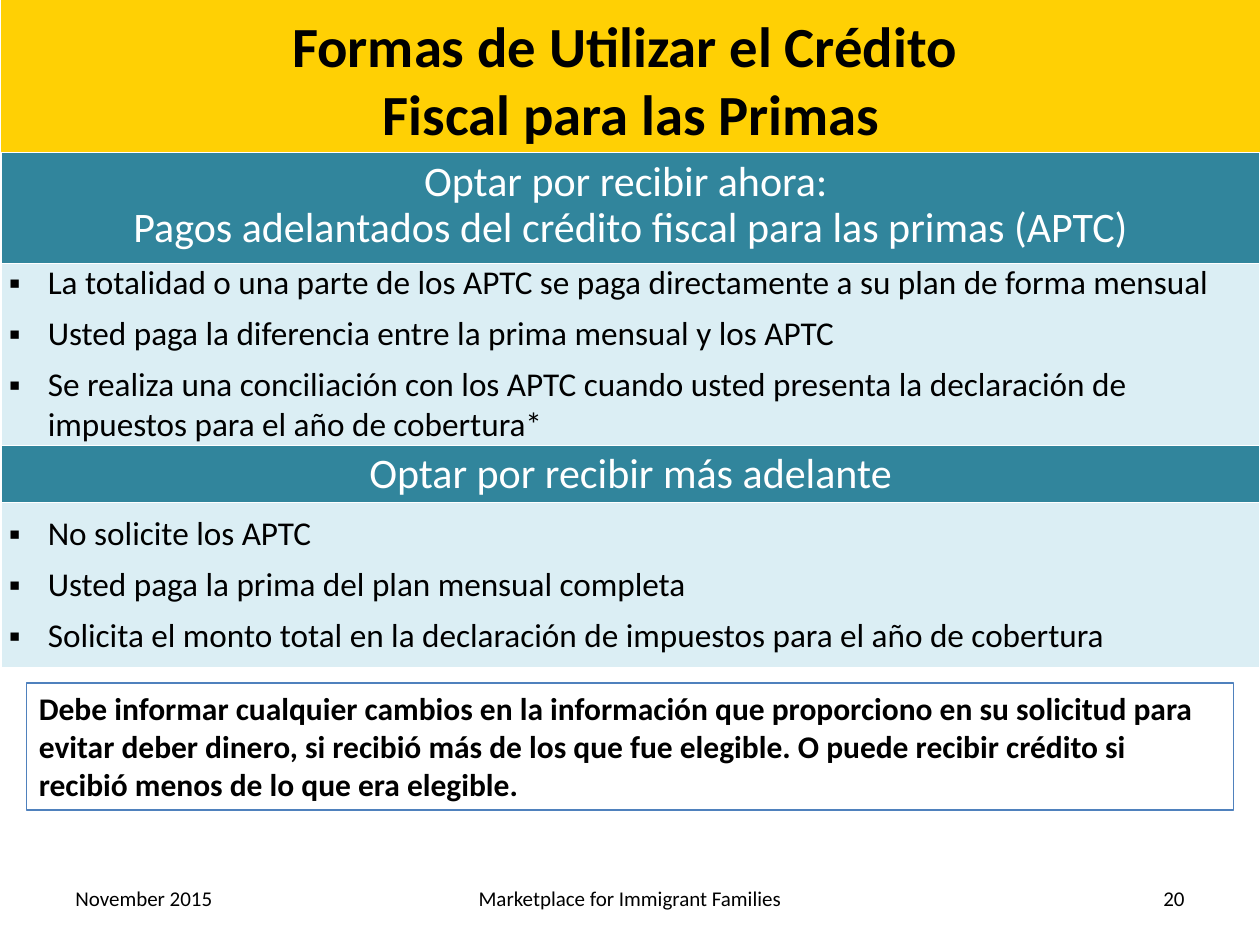
"""Build the slide on the ways to use the premium tax credit."""
import pptx
import pptx.util
import pptx.oxml
import pptx.oxml.ns
import pptx.dml.color
import pptx.enum.shapes
import pptx.enum.text

Pt = pptx.util.Pt
Inches = pptx.util.Inches
Align = pptx.enum.text.PP_ALIGN
Anchor = pptx.enum.text.MSO_ANCHOR
RECTANGLE = pptx.enum.shapes.MSO_SHAPE.RECTANGLE
NAMESPACE = pptx.oxml.ns.nsdecls("a")
COLORS = {
    name: pptx.dml.color.RGBColor.from_string(value)
    for name, value in {
        "black": "000000", "white": "FFFFFF", "gold": "FFD004",
        "teal": "31859C", "pale": "DBEEF4", "blue": "4F81BD",
    }.items()
}


def write(frame, text, size, color="black", bold=False, align=Align.LEFT,
          anchor=Anchor.MIDDLE, bullet=None, gap=0, spacing=None):
    """Fill a text frame with one paragraph per line of text."""
    frame.word_wrap = True
    frame.vertical_anchor = anchor
    for index, line in enumerate(text.split("\n")):
        para = frame.add_paragraph() if index else frame.paragraphs[0]
        para.alignment = align
        para.space_before = Pt(gap if index else 0)
        if spacing:
            para.line_spacing = spacing
        if bullet:
            properties = para._p.get_or_add_pPr()
            properties.set("marL", str(Inches(0.31)))
            properties.set("indent", str(-Inches(0.31)))
            properties.append(pptx.oxml.parse_xml(f'<a:buFont {NAMESPACE} typeface="Arial"/>'))
            properties.append(pptx.oxml.parse_xml(f'<a:buChar {NAMESPACE} char="{bullet}"/>'))
        span = para.add_run()
        span.text = line
        span.font.name = "Calibri"
        span.font.size = Pt(size)
        span.font.bold = bold
        span.font.color.rgb = COLORS[color]


deck = pptx.Presentation()
deck.slide_width, deck.slide_height = Inches(10), Inches(7.5)
width, height = deck.slide_width, deck.slide_height
page = deck.slides.add_slide(deck.slide_layouts[5])

title = page.shapes.title
title.left, title.top = Inches(0.01), Inches(0.04)
title.width, title.height = width, Inches(1.17)
write(title.text_frame, "Formas de Utilizar el Crédito \nFiscal para las Primas", 32.4,
      bold=True, align=Align.CENTER)

banner = page.shapes.add_shape(RECTANGLE, Inches(0.01), 0, width, height // 6)
banner.shadow.inherit = False
banner.fill.solid()
banner.fill.fore_color.rgb = COLORS["gold"]
banner.line.fill.background()
title.element.addprevious(banner.element)

heading = {"size": 24, "color": "white", "align": Align.CENTER}
listing = {"size": 19, "bullet": "▪", "gap": 6}
options = [
    (0.88, "teal", "Optar por recibir ahora: \n"
     "Pagos adelantados del crédito fiscal para las primas (APTC)",
     heading | {"spacing": Pt(26)}),
    (1.33, "pale", "La totalidad o una parte de los APTC se paga directamente a su plan de forma mensual\n"
     "Usted paga la diferencia entre la prima mensual y los APTC\n"
     "Se realiza una conciliación con los APTC cuando usted presenta la declaración de "
     "impuestos para el año de cobertura*",
     listing | {"anchor": Anchor.TOP}),
    (0.45, "teal", "Optar por recibir más adelante", heading),
    (1.31, "pale", "No solicite los APTC\n"
     "Usted paga la prima del plan mensual completa\n"
     "Solicita el monto total en la declaración de impuestos para el año de cobertura",
     listing),
]
table = page.shapes.add_table(len(options), 1, Inches(0.01), Inches(1.21),
                              Inches(9.99), Inches(3.97)).table
for row, (row_height, fill, text, style) in zip(table.rows, options):
    row.height = Inches(row_height)
    cell = row.cells[0]
    cell.margin_left = cell.margin_right = Inches(0.06)
    cell.margin_top = cell.margin_bottom = 0
    cell.fill.solid()
    cell.fill.fore_color.rgb = COLORS[fill]
    write(cell.text_frame, text, **style)
    cell.vertical_anchor = style.get("anchor", Anchor.MIDDLE)
    edges = ["lnB"] if row_height == 0.88 else ["lnT", "lnB"]
    for position, edge in enumerate(edges):
        cell._tc.get_or_add_tcPr().insert(position, pptx.oxml.parse_xml(
            f'<a:{edge} {NAMESPACE} w="{Pt(1)}"><a:solidFill>'
            f'<a:srgbClr val="{COLORS["white"]}"/></a:solidFill></a:{edge}>'))

notice = page.shapes.add_shape(RECTANGLE, Inches(0.21), Inches(5.42), Inches(9.58), Inches(1.01))
notice.shadow.inherit = False
notice.fill.background()
notice.line.color.rgb = COLORS["blue"]
notice.line.width = Pt(0.75)
write(notice.text_frame,
      "Debe informar cualquier cambios en la información que proporciono en su solicitud para "
      "evitar deber dinero, si recibió más de los que fue elegible. O puede recibir crédito si "
      "recibió menos de lo que era elegible.", 18, bold=True, anchor=Anchor.TOP)

footer_left = 0.5
for footer_width, text, align in [
    (2.33, "November 2015", Align.LEFT),
    (4.34, "Marketplace for Immigrant Families", Align.CENTER),
    (2.33, "20", Align.RIGHT),
]:
    box = page.shapes.add_textbox(Inches(footer_left), Inches(6.93),
                                  Inches(footer_width), Inches(0.4))
    write(box.text_frame, text, 12, align=align)
    footer_left += footer_width

deck.save("out.pptx")
